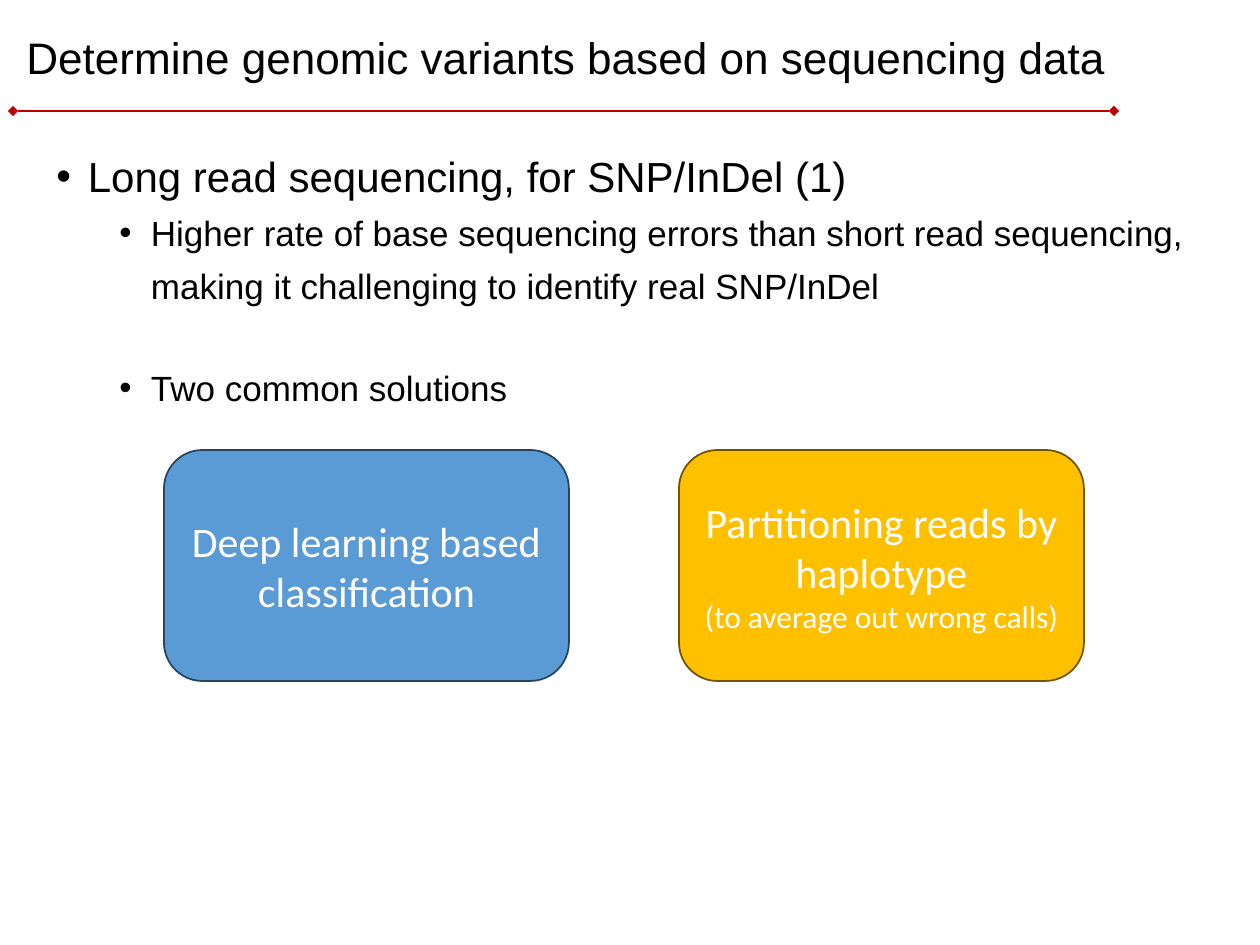
from lxml import etree
from pptx import Presentation, util as u
from pptx.dml.color import RGBColor
from pptx.enum import shapes, text
from pptx.oxml.ns import qn

COLORS = {
    "text": "000000", "light": "FFFFFF", "rule": "C00000",
    "blue": "5B9BD5", "blue_edge": "28445D",
    "gold": "FFC000", "gold_edge": "705400",
}
PX_PER_INCH = 126


def px(length):
    return u.Emu(round(length * u.Inches(1) / PX_PER_INCH))


def color(name):
    return RGBColor.from_string(COLORS[name])


class SlideBuilder:
    HEADING_FONT = "Arial"
    CARD_FONT = "Calibri"
    BODY_SPACING = 1.25

    def __init__(self, page):
        self.page = page

    def set_font(self, para, name, size, tint):
        para.font.name = name
        para.font.size = u.Pt(size)
        para.font.color.rgb = color(tint)

    def text_box(self, left, top, width, height, anchor):
        box = self.page.shapes.add_textbox(px(left), px(top), px(width), px(height))
        frame = box.text_frame
        frame.word_wrap = True
        frame.vertical_anchor = anchor
        return frame

    def title(self, wording, *place):
        para = self.text_box(*place, text.MSO_ANCHOR.MIDDLE).paragraphs[0]
        para.text = wording
        para.line_spacing = 0.9
        self.set_font(para, self.HEADING_FONT, 25.2, "text")

    def rule(self, left, right, y):
        line = self.page.shapes.add_connector(
            shapes.MSO_CONNECTOR.STRAIGHT, px(left), px(y), px(right), px(y))
        line.line.color.rgb = color("rule")
        line.line.width = u.Pt(1)
        outline = line.line._get_or_add_ln()
        for end in ("a:headEnd", "a:tailEnd"):
            etree.SubElement(outline, qn(end), type="diamond")
        etree.SubElement(line._element.spPr, qn("a:effectLst"))

    def bullets(self, items, *place):
        """Add a list of (wording, level, size, space before) items."""
        frame = self.text_box(*place, text.MSO_ANCHOR.TOP)
        for index, (wording, level, size, gap) in enumerate(items):
            para = frame.add_paragraph() if index else frame.paragraphs[0]
            para.text = wording
            para.level = level
            para.line_spacing = self.BODY_SPACING
            para.space_before = u.Pt(gap)
            props = para._p.get_or_add_pPr()
            props.set("marL", str(u.Inches(0.25 + 0.5 * level)))
            props.set("indent", str(u.Inches(-0.25)))
            etree.SubElement(props, qn("a:buFont"), typeface=self.HEADING_FONT)
            etree.SubElement(props, qn("a:buChar"), char="•")
            self.set_font(para, self.HEADING_FONT, size, "text")

    def card(self, lines, fill, *place):
        """Add a rounded box with centred (wording, size) lines."""
        box = self.page.shapes.add_shape(
            shapes.MSO_SHAPE.ROUNDED_RECTANGLE, *map(px, place))
        box.shadow.inherit = False
        box.fill.solid()
        box.fill.fore_color.rgb = color(fill)
        box.line.color.rgb = color(fill + "_edge")
        box.line.width = u.Pt(1)
        frame = box.text_frame
        frame.word_wrap = True
        frame.vertical_anchor = text.MSO_ANCHOR.MIDDLE
        for index, (wording, size) in enumerate(lines):
            para = frame.add_paragraph() if index else frame.paragraphs[0]
            para.text = wording
            para.alignment = text.PP_ALIGN.CENTER
            self.set_font(para, self.CARD_FONT, size, "light")


def main():
    deck = Presentation()
    deck.slide_width, deck.slide_height = px(1260), px(945)
    builder = SlideBuilder(deck.slides.add_slide(deck.slide_layouts[6]))

    builder.rule(13, 1114, 111)
    builder.title("Determine genomic variants based on sequencing data",
                  14, 7, 1224, 106)
    builder.bullets([
        ("Long read sequencing, for SNP/InDel (1)", 0, 24, 0),
        ("Higher rate of base sequencing errors than short read sequencing, "
         "making it challenging to identify real SNP/InDel", 1, 20, 0),
        ("Two common solutions", 1, 20, 28.75),
    ], 44, 132, 1160, 720)

    solutions = [
        ("blue", [("Deep learning based classification", 24)]),
        ("gold", [("Partitioning reads by haplotype", 24),
                  ("(to average out wrong calls)", 18)]),
    ]
    for column, (fill, lines) in enumerate(solutions):
        builder.card(lines, fill, 164 + 515 * column, 450, 405, 231)

    deck.save("out.pptx")


if __name__ == "__main__":
    main()
